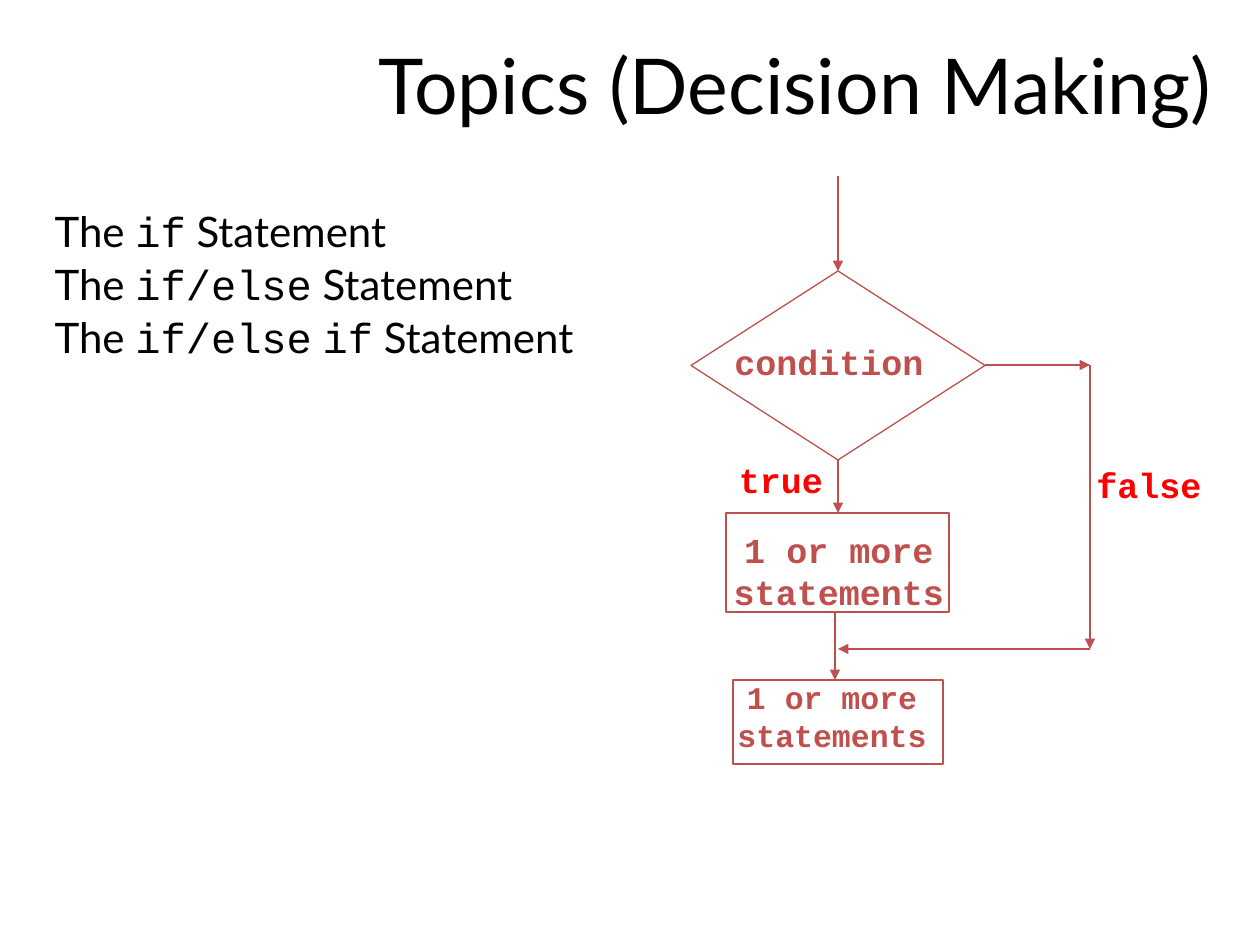
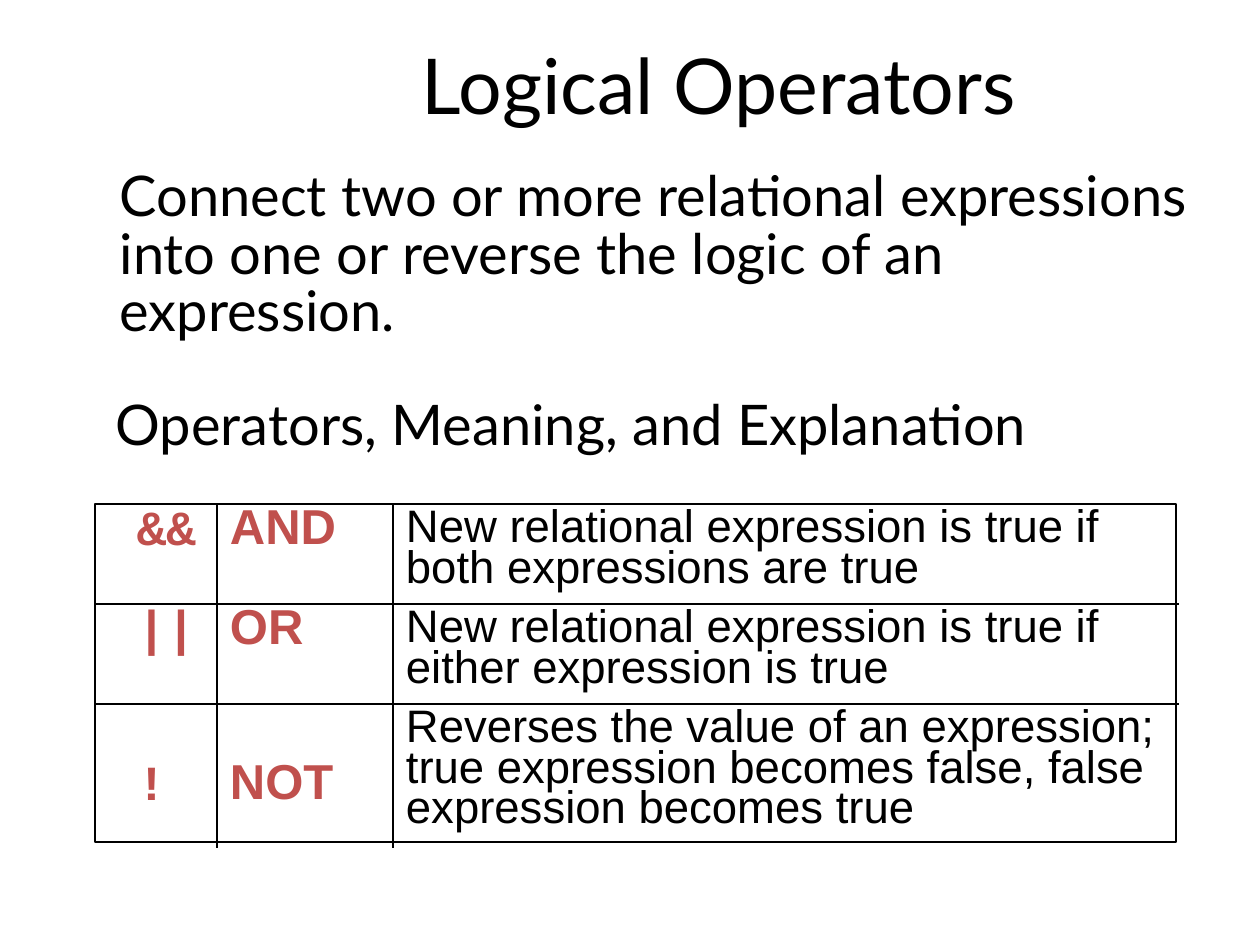
from dataclasses import dataclass

from lxml.etree import SubElement
from pptx import Presentation
from pptx.dml.color import RGBColor
from pptx.enum.shapes import MSO_CONNECTOR, MSO_SHAPE
from pptx.enum.text import MSO_ANCHOR, MSO_AUTO_SIZE, PP_ALIGN
from pptx.oxml.ns import qn
from pptx.util import Pt

PIXELS_PER_INCH = 126


@dataclass(frozen=True)
class Theme:
    ink: RGBColor = RGBColor(0x00, 0x00, 0x00)
    accent: RGBColor = RGBColor(0xC0, 0x50, 0x4D)
    branch: RGBColor = RGBColor(0xFF, 0x00, 0x00)
    text_font: str = "Lato"
    code_font: str = "Courier New"
    table_font: str = "Arial"
    title_size: int = 44
    topic_size: int = 24
    body_size: int = 32
    operator_size: int = 28
    explanation_size: int = 26
    flow_size: int = 20
    small_flow_size: int = 18
    thin_line: float = 0.75
    grid_line: float = 1


THEME = Theme()


def px(length):
    return round(length * 914400 / PIXELS_PER_INCH)


def place(shape, box):
    shape.left, shape.top, shape.width, shape.height = map(px, box)


def shift(origin, box):
    """Move a box, given relative to the origin's corner, onto the slide."""
    return (origin[0] + box[0], origin[1] + box[1], *box[2:])


def write(paragraph, text, font=THEME.text_font, size=THEME.body_size, color=THEME.ink,
          bold=False, align=None, line_spacing=None, after=None):
    """Append one formatted run and set the paragraph format that is given."""
    run = paragraph.add_run()
    run.text = text
    run.font.name = font
    run.font.size = Pt(size)
    run.font.bold = bold
    run.font.color.rgb = color
    if align is not None:
        paragraph.alignment = align
    if line_spacing is not None:
        paragraph.line_spacing = line_spacing
    if after is not None:
        paragraph.space_after = Pt(after)


def next_paragraph(frame, index):
    return frame.paragraphs[0] if index == 0 else frame.add_paragraph()


def remove_bullet(paragraph, margin=0):
    paragraph.space_before = Pt(0)
    properties = paragraph._p.get_or_add_pPr()
    properties.set("marL", str(px(margin)))
    properties.set("indent", "0")
    SubElement(properties, qn("a:buNone"))


def add_titled_slide(presentation, title, title_box, align, body_box):
    """Add a slide with its title and return it with the empty body frame."""
    slide = presentation.slides.add_slide(presentation.slide_layouts[1])
    heading, body = slide.placeholders
    place(heading, title_box)
    place(body, body_box)
    for placeholder in (heading, body):
        placeholder.text_frame.auto_size = MSO_AUTO_SIZE.NONE
    heading.text_frame.vertical_anchor = MSO_ANCHOR.MIDDLE
    write(heading.text_frame.paragraphs[0], title, size=THEME.title_size, align=align)
    return slide, body.text_frame


def add_outline(slide, preset, box):
    shape = slide.shapes.add_shape(preset, *map(px, box))
    shape.shadow.inherit = False
    shape.fill.background()
    shape.line.width = Pt(THEME.thin_line)
    shape.line.color.rgb = THEME.accent
    return shape


def add_label(slide, box, lines, **text_format):
    frame = slide.shapes.add_textbox(*map(px, box)).text_frame
    frame.word_wrap = False
    frame.auto_size = MSO_AUTO_SIZE.SHAPE_TO_FIT_TEXT
    for index, line in enumerate(lines):
        write(next_paragraph(frame, index), line, font=THEME.code_font, bold=True,
              align=PP_ALIGN.CENTER, **text_format)


def add_arrow(slide, start, end):
    arrow = slide.shapes.add_connector(MSO_CONNECTOR.STRAIGHT, *map(px, (*start, *end)))
    arrow.line.width = Pt(THEME.thin_line)
    arrow.line.color.rgb = THEME.accent
    SubElement(arrow.line._get_or_add_ln(), qn("a:tailEnd"), type="triangle")
    SubElement(arrow._element.spPr, qn("a:effectLst"))


def add_flowchart(slide, box):
    spine, false_x, join_y = 147, 399, 473
    outlines = [
        (MSO_SHAPE.FLOWCHART_DECISION, (0, 95, 294, 189)),
        (MSO_SHAPE.FLOWCHART_PROCESS, (35, 337, 223, 99)),
        (MSO_SHAPE.FLOWCHART_PROCESS, (42, 504, 210, 84)),
    ]
    statements = ["1 or more", "statements"]
    labels = [
        ((18, 158, 240, 54), ["condition"], THEME.accent, THEME.flow_size),
        ((28, 346, 240, 97), statements, THEME.accent, THEME.flow_size),
        ((35, 276, 110, 54), ["true"], THEME.branch, THEME.flow_size),
        ((388, 281, 140, 54), ["false"], THEME.branch, THEME.flow_size),
        ((31, 496, 220, 127), statements, THEME.accent, THEME.small_flow_size),
    ]
    arrows = [
        ((spine, 0), (spine, 95)),
        ((spine, 284), (spine, 337)),
        ((294, 189), (false_x, 189)),
        ((false_x, 189), (false_x, join_y)),
        ((false_x, join_y), (spine, join_y)),
        ((spine - 3, 435), (spine - 3, 504)),
    ]
    for preset, outline in outlines:
        add_outline(slide, preset, shift(box, outline))
    for label, lines, color, size in labels:
        add_label(slide, shift(box, label), lines, color=color, size=size)
    for start, end in arrows:
        add_arrow(slide, shift(box, start), shift(box, end))


def set_border(cell, side, visible):
    properties = cell._tc.get_or_add_tcPr()
    line = SubElement(properties, qn(f"a:ln{side}"), w=str(Pt(THEME.grid_line)))
    if visible:
        fill = SubElement(line, qn("a:solidFill"))
        SubElement(fill, qn("a:srgbClr"), val=str(THEME.ink))
    else:
        SubElement(line, qn("a:noFill"))


def add_operator_table(slide, box):
    widths, heights = (122, 176, 786), (100, 100, 144)
    operators = [
        ("&&", "AND", "New relational expression is true if both expressions are true"),
        ("||", "OR", "New relational expression is true if either expression is true"),
        ("!", "NOT", "Reverses the value of an expression; true expression becomes false, "
                     "false expression becomes true"),
    ]
    keyword = dict(size=THEME.operator_size, color=THEME.accent, bold=True)
    formats = [
        dict(font=THEME.code_font, **keyword),
        dict(font=THEME.table_font, **keyword),
        dict(font=THEME.table_font, size=THEME.explanation_size),
    ]
    left_margins = (42, 13, 13)
    last_row, last_column = len(heights) - 1, len(widths) - 1
    frame = slide.shapes.add_table(len(heights), len(widths), *map(px, box[:2]),
                                   px(sum(widths)), px(sum(heights)))
    table = frame.table
    table.first_row = table.horz_banding = False
    for column, width in zip(table.columns, widths):
        column.width = px(width)
    for row, height in zip(table.rows, heights):
        row.height = px(height)
    for row, texts in enumerate(operators):
        for column, text in enumerate(texts):
            cell = table.cell(row, column)
            lowered = row == last_row and column < last_column
            cell.margin_left = px(left_margins[column])
            cell.margin_right = px(13)
            cell.margin_top = px(61 if lowered else 6)
            cell.margin_bottom = px(6)
            write(cell.text_frame.paragraphs[0], text, line_spacing=0.8, **formats[column])
            inner = {"L": column > 0, "R": column < last_column,
                     "T": row > 0, "B": row < last_row}
            for side, visible in inner.items():
                set_border(cell, side, visible)
            cell.fill.background()
    outline = add_outline(slide, MSO_SHAPE.RECTANGLE, box)
    outline.line.color.rgb = THEME.ink


def add_topics_slide(presentation):
    slide, body = add_titled_slide(presentation, "Topics (Decision Making)",
                                   (193, 21, 1032, 126), PP_ALIGN.RIGHT,
                                   (42, 209, 1197, 572))
    for index, keywords in enumerate((["if"], ["if/else"], ["if/else", "if"])):
        paragraph = next_paragraph(body, index)
        write(paragraph, "The ", size=THEME.topic_size, line_spacing=0.8, after=7.2)
        for keyword in keywords:
            write(paragraph, keyword, font=THEME.code_font, size=THEME.topic_size)
            write(paragraph, " ", size=THEME.topic_size)
        write(paragraph, "Statement", size=THEME.topic_size)
        remove_bullet(paragraph)
    add_flowchart(slide, (691, 176, 523, 623))


def add_operators_slide(presentation):
    slide, body = add_titled_slide(presentation, "Logical Operators",
                                   (203, 21, 1032, 126), PP_ALIGN.CENTER,
                                   (59, 165, 1142, 694))
    paragraphs = [
        ("Connect two or more relational expressions into one or reverse the logic "
         "of an expression.", 48, 32.6),
        ("Operators, Meaning, and Explanation", 44, 0),
    ]
    for index, (text, margin, after) in enumerate(paragraphs):
        paragraph = next_paragraph(body, index)
        write(paragraph, text, line_spacing=0.85, after=after)
        remove_bullet(paragraph, margin)
    add_operator_table(slide, (95, 504, 1081, 338))


def main():
    presentation = Presentation()
    presentation.slide_width, presentation.slide_height = px(1260), px(945)
    add_topics_slide(presentation)
    add_operators_slide(presentation)
    presentation.save("out.pptx")


if __name__ == "__main__":
    main()
